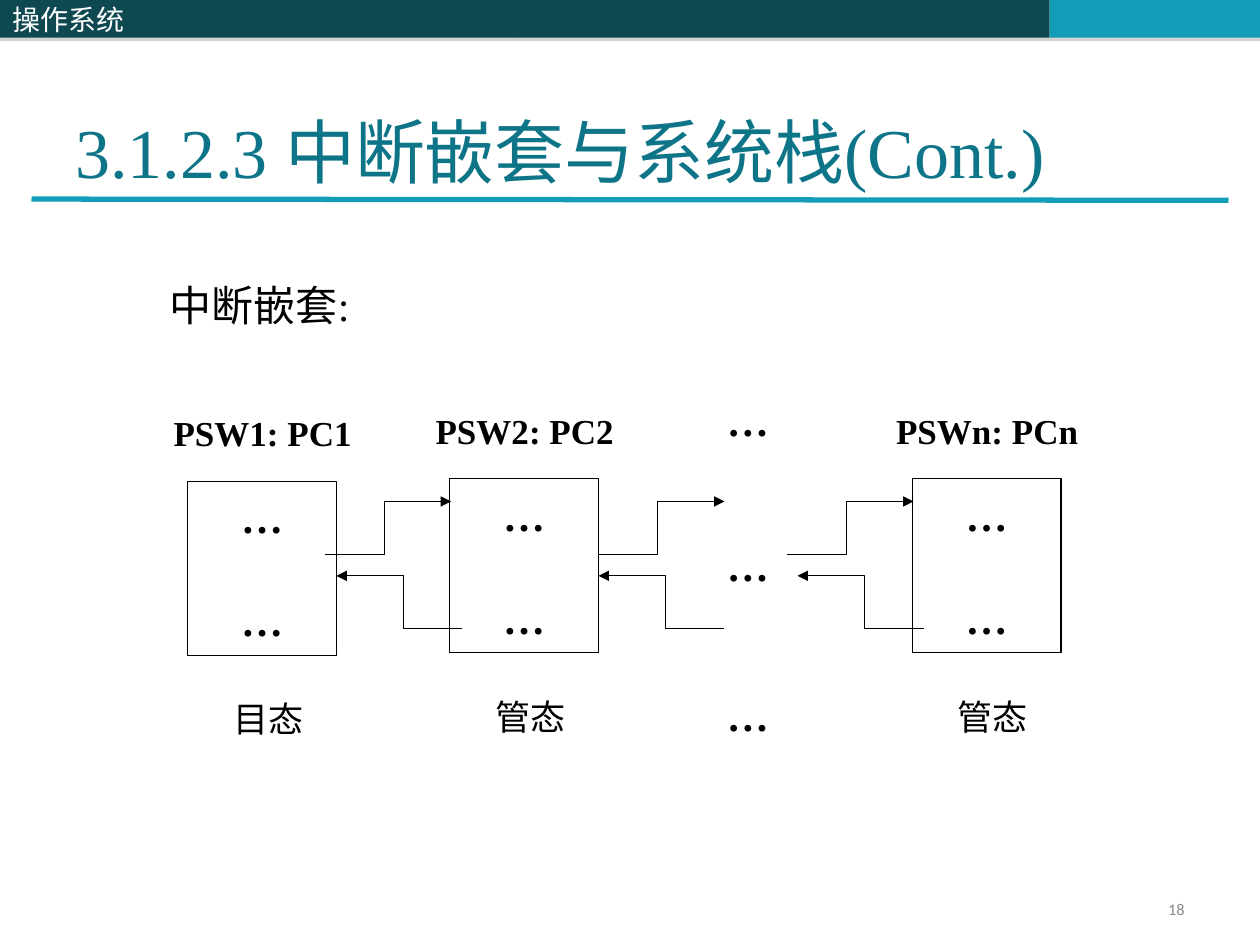
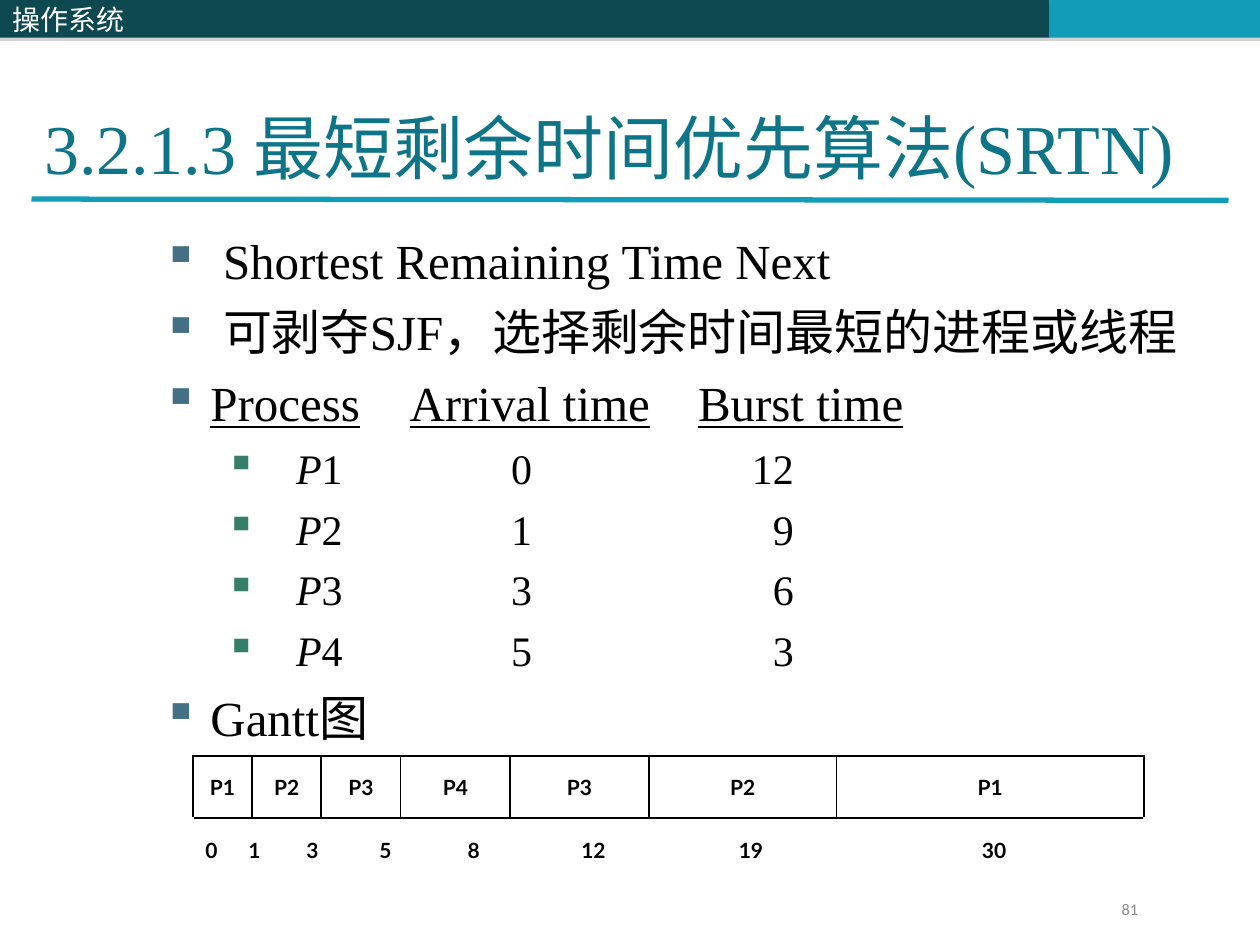
"""Build two operating-system lecture slides: nested interrupts and SRTN scheduling."""
import pptx
import pptx.dml.color
import pptx.enum.shapes
import pptx.enum.text
import pptx.oxml
import pptx.oxml.ns
import pptx.util
from lxml import etree

Inches = pptx.util.Inches
Pt = pptx.util.Pt
RGBColor = pptx.dml.color.RGBColor
Align = pptx.enum.text.PP_ALIGN
Anchor = pptx.enum.text.MSO_ANCHOR
qn = pptx.oxml.ns.qn

BLACK = RGBColor(0, 0, 0)
WHITE = RGBColor(255, 255, 255)
DARK_TEAL = RGBColor(0x0E, 0x48, 0x51)
BRIGHT_TEAL = RGBColor(0x13, 0x9C, 0xB7)
TITLE_TEAL = RGBColor(0x0E, 0x75, 0x89)
PAGE_GREY = RGBColor(0x89, 0x89, 0x89)
SHADOW_GREY = RGBColor(0x80, 0x80, 0x80)
BULLET_BLUE = RGBColor(0x43, 0x70, 0x85)
BULLET_GREEN = RGBColor(0x35, 0x7E, 0x69)
SERIF = "Times New Roman"
INSETS = (0.1, 0.05)

COURSE = "操作系统"
BANDS = [(0, 4.08, DARK_TEAL, COURSE), (4.08, 4.25, DARK_TEAL, ""), (8.33, 1.67, BRIGHT_TEAL, "")]

NESTING_TITLE = "3.1.2.3 中断嵌套与系统栈(Cont.)"
NESTING_LEAD = "中断嵌套:"
PROGRAMS = [
    (1.49, 3.82, "PSW1: PC1", "目态"),
    (3.57, 3.8, "PSW2: PC2", "管态"),
    (7.24, 3.8, "PSWn: PCn", "管态"),
]
ELLIPSIS_TOPS = [3.08, 4.23, 5.42]
CALL_STARTS = [2.58, 4.75, 6.25]
RETURN_STARTS = [3.67, 5.75, 7.33]

SRTN_TITLE = "3.2.1.3 最短剩余时间优先算法(SRTN)"
SRTN_POINTS = ["Shortest Remaining Time Next", "可剥夺SJF，选择剩余时间最短的进程或线程"]
PROCESS_HEADINGS = ["Process", "Arrival time", "Burst time"]
PROCESSES = [(1, 0, 12), (2, 1, 9), (3, 3, 6), (4, 5, 3)]
GANTT_HEADING = "Gantt图"
GANTT = [("P1", 0.47), ("P2", 0.55), ("P3", 0.63), ("P4", 0.87), ("P3", 1.1), ("P2", 1.49), ("P1", 2.44)]
GANTT_TIMES = [0, 1, 3, 5, 8, 12, 19, 30]
TIME_TABS = [(0.39, "ctr"), (0.85, "ctr"), (1.43, "ctr"), (2.13, "ctr"), (3.08, "ctr"), (4.33, "ctr"), (6.26, "ctr")]
HEADING_TABS = [(1.96, "l"), (4.25, "l")]
PROCESS_TABS = [(2.85, "ctr"), (5.01, "r")]


def style(paragraph, size, color=BLACK, name=SERIF, bold=False, align=Align.LEFT):
    paragraph.alignment = align
    font = paragraph.font
    font.size, font.name, font.bold = Pt(size), name, bold
    font.color.rgb = color


def set_frame(frame, anchor=Anchor.TOP, insets=INSETS, wrap=True):
    frame.word_wrap, frame.vertical_anchor = wrap, anchor
    frame.margin_left = frame.margin_right = Inches(insets[0])
    frame.margin_top = frame.margin_bottom = Inches(insets[1])


def add_text(slide, box, text, size, anchor=Anchor.TOP, insets=INSETS, **look):
    frame = slide.shapes.add_textbox(*map(Inches, box)).text_frame
    set_frame(frame, anchor, insets)
    frame.text = text
    style(frame.paragraphs[0], size, **look)


def add_box(slide, box, fill):
    shape = slide.shapes.add_shape(pptx.enum.shapes.MSO_SHAPE.RECTANGLE, *map(Inches, box))
    shape.shadow.inherit = False
    shape.fill.solid()
    shape.fill.fore_color.rgb = fill
    return shape


def drop_shadow(shape):
    effects = shape._element.spPr.find(qn("a:effectLst"))
    shadow = etree.SubElement(effects, qn("a:outerShdw"), blurRad="0", dist=str(Pt(1.8)), dir="5400000")
    color = etree.SubElement(shadow, qn("a:srgbClr"), val=str(SHADOW_GREY))
    etree.SubElement(color, qn("a:alpha"), val="35000")


def add_tabs(paragraph, stops):
    tabs = etree.SubElement(paragraph._p.get_or_add_pPr(), qn("a:tabLst"))
    for position, kind in stops:
        etree.SubElement(tabs, qn("a:tab"), pos=str(Inches(position)), algn=kind)


def add_frame_slide(presentation, title, title_box, title_insets, number, number_box):
    slide = presentation.slides.add_slide(presentation.slide_layouts[6])
    for left, width, color, text in BANDS:
        band = add_box(slide, (left, 0, width, 0.3), color)
        band.line.fill.background()
        drop_shadow(band)
        if text:
            set_frame(band.text_frame, Anchor.MIDDLE)
            band.text_frame.text = text
            style(band.text_frame.paragraphs[0], 16, WHITE, "Noto Sans CJK SC")
    rule = slide.shapes.add_connector(
        pptx.enum.shapes.MSO_CONNECTOR.STRAIGHT, *map(Inches, (0.25, 1.58, 9.75, 1.59)))
    rule.line.color.rgb, rule.line.width = BRIGHT_TEAL, Pt(3)
    etree.SubElement(rule._element.spPr, qn("a:effectLst"))
    add_text(slide, title_box, title, 40, Anchor.BOTTOM, title_insets, color=TITLE_TEAL)
    add_text(slide, number_box, number, 9.3, Anchor.MIDDLE, color=PAGE_GREY, name="Calibri", align=Align.RIGHT)
    return slide


def add_program(slide, left, top, registers, mode):
    program = add_box(slide, (left, top, 1.18, 1.38), WHITE)
    program.line.color.rgb, program.line.width = BLACK, Pt(0.75)
    set_frame(program.text_frame, Anchor.MIDDLE, wrap=False)
    program.text_frame.text = "…\n…"
    for paragraph in program.text_frame.paragraphs:
        style(paragraph, 24, bold=True, align=Align.CENTER)
    paragraph.space_before = Pt(30)
    add_text(slide, (left - 0.24, top - 0.6, 1.67, 0.44), registers, 20, bold=True, align=Align.CENTER)
    add_text(slide, (left + 0.18, top + 1.67, 0.92, 0.44), mode, 20, align=Align.CENTER)


def add_step_arrow(slide, start, top, direction):
    """Draw a stepped arrow that rises 0.42 inch while running one inch sideways."""
    bend, end, bottom = start + 0.47 * direction, start + direction, top + 0.42
    builder = slide.shapes.build_freeform(Inches(start), Inches(bottom))
    corners = [(bend, bottom), (bend, top), (end, top)]
    builder.add_line_segments([(Inches(x), Inches(y)) for x, y in corners], close=False)
    arrow = builder.convert_to_shape()
    arrow.shadow.inherit = False
    arrow.fill.background()
    arrow.line.color.rgb, arrow.line.width = BLACK, Pt(0.75)
    etree.SubElement(arrow.line._get_or_add_ln(), qn("a:tailEnd"), type="triangle")


def add_bullet(frame, runs, size, margin, hang, color, space, tabs=()):
    paragraph = frame.paragraphs[0]
    if paragraph.runs:
        paragraph = frame.add_paragraph()
        paragraph.space_before = Pt(space)
    properties = paragraph._p.get_or_add_pPr()
    properties.set("marL", str(Inches(margin)))
    properties.set("indent", str(Inches(-hang)))
    bullet_color = etree.SubElement(properties, qn("a:buClr"))
    etree.SubElement(bullet_color, qn("a:srgbClr"), val=str(color))
    etree.SubElement(properties, qn("a:buChar"), char="▪")
    add_tabs(paragraph, tabs)
    style(paragraph, size)
    for text, emphasis in runs:
        run = paragraph.add_run()
        run.text = text
        if emphasis:
            setattr(run.font, emphasis, True)


def add_srtn_points(slide):
    frame = slide.shapes.add_textbox(*map(Inches, (1.29, 1.83, 8.71, 4.11))).text_frame
    set_frame(frame, insets=(0, 0))
    for point in SRTN_POINTS:
        add_bullet(frame, [(point, None)], 28, 0.48, 0.48, BULLET_BLUE, 7)
    headings = [(PROCESS_HEADINGS[0], "underline")]
    for heading in PROCESS_HEADINGS[1:]:
        headings += [("\t", None), (heading, "underline")]
    add_bullet(frame, headings, 28, 0.38, 0.38, BULLET_BLUE, 7, HEADING_TABS)
    for number, arrival, burst in PROCESSES:
        runs = [("P", "italic"), (f"{number}\t{arrival}\t{burst}", None)]
        add_bullet(frame, runs, 24, 1.06, 0.56, BULLET_GREEN, 6, PROCESS_TABS)
    add_bullet(frame, [(GANTT_HEADING, None)], 28, 0.38, 0.38, BULLET_BLUE, 7)


def set_cell(cell, text, sides, align, tabs=()):
    cell.vertical_anchor = Anchor.MIDDLE
    for side in sides:
        line = etree.SubElement(cell._tc.get_or_add_tcPr(), qn(f"a:ln{side}"), w=str(Pt(1.08)))
        fill = etree.SubElement(line, qn("a:solidFill"))
        etree.SubElement(fill, qn("a:srgbClr"), val=str(BLACK))
    cell.fill.background()
    cell.text = text
    paragraph = cell.text_frame.paragraphs[0]
    add_tabs(paragraph, tabs)
    style(paragraph, 12, name="Lato", bold=True, align=align)


def add_gantt(slide):
    table = slide.shapes.add_table(2, len(GANTT), *map(Inches, (1.53, 6, 7.56, 1))).table
    table.first_row = table.horz_banding = False
    table.rows[0].height, table.rows[1].height = Inches(0.49), Inches(0.51)
    for column, (process, width) in enumerate(GANTT):
        table.columns[column].width = Inches(width)
        set_cell(table.cell(0, column), process, "LRTB", Align.CENTER)
    times = table.cell(1, 0)
    times.merge(table.cell(1, len(GANTT) - 1))
    set_cell(times, "\t".join(map(str, GANTT_TIMES)), "T", Align.LEFT, TIME_TABS)


def main():
    presentation = pptx.Presentation()
    presentation.slide_width, presentation.slide_height = Inches(10), Inches(7.5)

    nesting = add_frame_slide(
        presentation, NESTING_TITLE, (0.5, 0.58, 8.77, 1), INSETS, "18", (7.17, 7.08, 2.33, 0.27))
    add_text(nesting, (1.25, 2.17, 5.92, 0.5), NESTING_LEAD, 24)
    for program in PROGRAMS:
        add_program(nesting, *program)
    for top in ELLIPSIS_TOPS:
        add_text(nesting, (5.67, top, 0.67, 0.5), "…", 24, bold=True)
    for start in CALL_STARTS:
        add_step_arrow(nesting, start, 3.98, 1)
    for start in RETURN_STARTS:
        add_step_arrow(nesting, start, 4.57, -1)

    srtn = add_frame_slide(
        presentation, SRTN_TITLE, (0.35, 0.83, 9.82, 0.67), (0, 0), "81", (6.8, 7.08, 2.33, 0.27))
    add_srtn_points(srtn)
    add_gantt(srtn)
    presentation.save("out.pptx")


if __name__ == "__main__":
    main()
